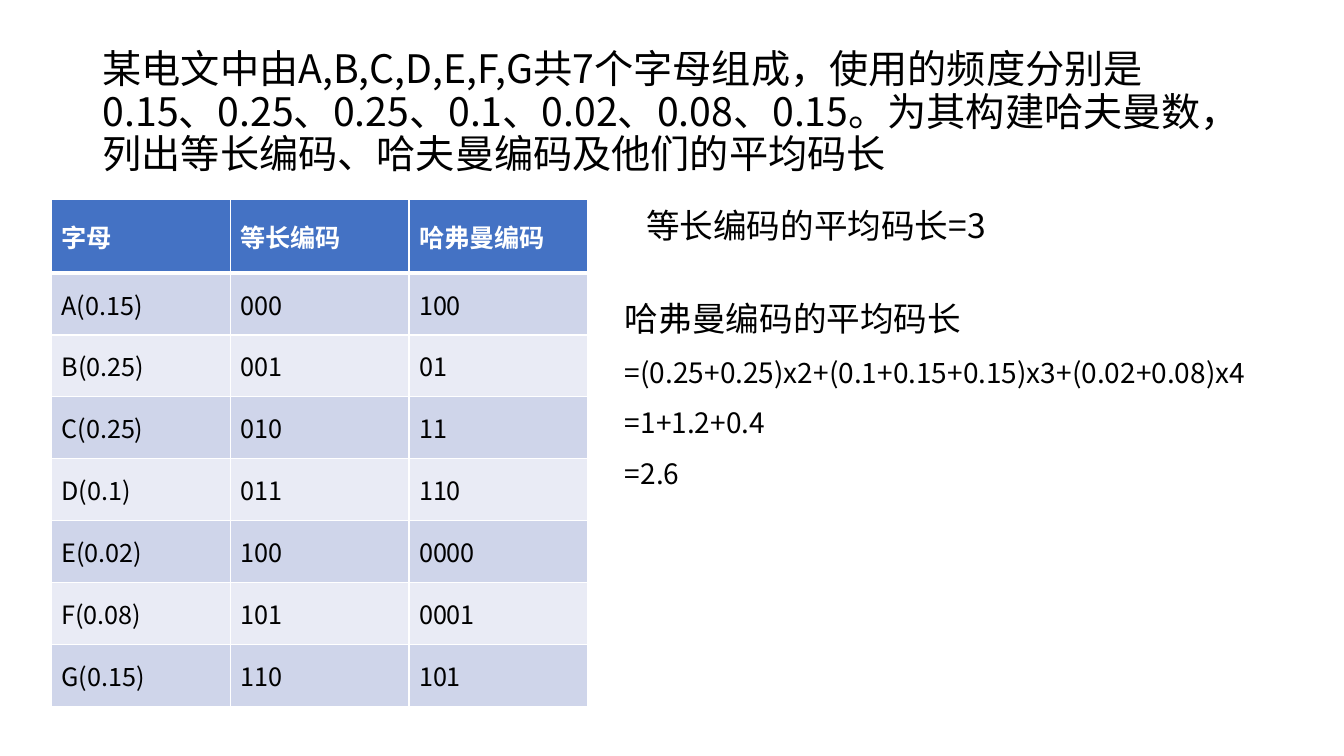
"""Build a slide comparing fixed-length and Huffman codes."""
from lxml import etree
from pptx import Presentation
from pptx.dml.color import RGBColor
from pptx.enum.text import MSO_ANCHOR
from pptx.oxml import ns
from pptx.util import Inches, Pt

FONT = "Noto Sans CJK SC"
BLACK = RGBColor(0x00, 0x00, 0x00)
WHITE = RGBColor(0xFF, 0xFF, 0xFF)
HEADER_BLUE = RGBColor(0x44, 0x72, 0xC4)
BAND_DARK = RGBColor(0xCF, 0xD5, 0xEA)
BAND_LIGHT = RGBColor(0xE9, 0xEB, 0xF5)

QUESTION = (
    "某电文中由A,B,C,D,E,F,G共7个字母组成，使用的频度分别是"
    "0.15、0.25、0.25、0.1、0.02、0.08、0.15。"
    "为其构建哈夫曼数，列出等长编码、哈夫曼编码及他们的平均码长"
)
CODES = [
    ("字母", "等长编码", "哈弗曼编码"),
    ("A(0.15)", "000", "100"),
    ("B(0.25)", "001", "01"),
    ("C(0.25)", "010", "11"),
    ("D(0.1)", "011", "110"),
    ("E(0.02)", "100", "0000"),
    ("F(0.08)", "101", "0001"),
    ("G(0.15)", "110", "101"),
]


def add_text(paragraph, content, size=18, color=BLACK, bold=False, spacing=None):
    """Append a formatted run to a paragraph."""
    if spacing:
        paragraph.line_spacing = spacing
    run = paragraph.add_run()
    run.text = content
    run.font.name = FONT
    run.font.size = Pt(size)
    run.font.bold = bold
    run.font.color.rgb = color
    east_asian = etree.SubElement(run.font._element, ns.qn("a:ea"))
    east_asian.set("typeface", FONT)


def add_text_box(slide, left, top, width, height, paragraphs, spacing=None,
                 anchor=MSO_ANCHOR.TOP):
    """Add a wrapped text box whose paragraphs are lists of (text, size) runs."""
    shape = slide.shapes.add_textbox(
        Inches(left), Inches(top), Inches(width), Inches(height))
    frame = shape.text_frame
    frame.word_wrap = True
    frame.vertical_anchor = anchor
    for index, runs in enumerate(paragraphs):
        paragraph = frame.add_paragraph() if index else frame.paragraphs[0]
        for content, size in runs:
            add_text(paragraph, content, size=size, spacing=spacing)


def set_borders(cell, top=1, bottom=1):
    """Draw white borders around a cell, with widths in points."""
    properties = cell._tc.get_or_add_tcPr()
    widths = {"lnL": 1, "lnR": 1, "lnT": top, "lnB": bottom}
    for position, (side, width) in enumerate(widths.items()):
        line = etree.Element(ns.qn(f"a:{side}"), w=str(Pt(width)))
        fill = etree.SubElement(line, ns.qn("a:solidFill"))
        etree.SubElement(fill, ns.qn("a:srgbClr"), val=str(WHITE))
        properties.insert(position, line)


def add_code_table(slide):
    """Add the banded table of letters and their codes."""
    table = slide.shapes.add_table(
        len(CODES), len(CODES[0]),
        Inches(0.51), Inches(1.98), Inches(5.32), Inches(5.03)).table
    for row, values in enumerate(CODES):
        header = row == 0
        table.rows[row].height = Inches(0.73 if header else 0.614)
        band = BAND_DARK if row % 2 else BAND_LIGHT
        for column, value in enumerate(values):
            cell = table.cell(row, column)
            cell.vertical_anchor = MSO_ANCHOR.MIDDLE
            cell.fill.solid()
            cell.fill.fore_color.rgb = HEADER_BLUE if header else band
            set_borders(cell, top=3 if row == 1 else 1, bottom=3 if header else 1)
            add_text(cell.text_frame.paragraphs[0], value,
                     color=WHITE if header else BLACK, bold=header)


def main():
    """Create and save the presentation."""
    presentation = Presentation()
    presentation.slide_width = Inches(13.33)
    presentation.slide_height = Inches(7.5)
    slide = presentation.slides.add_slide(presentation.slide_layouts[6])
    add_text_box(slide, 0.92, 0.4, 11.5, 1.45, [[(QUESTION, 28)]],
                 spacing=0.9, anchor=MSO_ANCHOR.MIDDLE)
    add_code_table(slide)
    add_text_box(slide, 6.31, 1.98, 5.45, 0.5, [[("等长编码的平均码长=3", 24)]])
    add_text_box(slide, 6.1, 2.71, 7.09, 2.22, [
        [("哈弗曼编码的平均码长", 24),
         ("=(0.25+0.25)x2+(0.1+0.15+0.15)x3+(0.02+0.08)x4", 20)],
        [("=1+1.2+0.4", 20)],
        [("=2.6", 20)],
    ], spacing=1.5)
    presentation.save("out.pptx")


if __name__ == "__main__":
    main()
